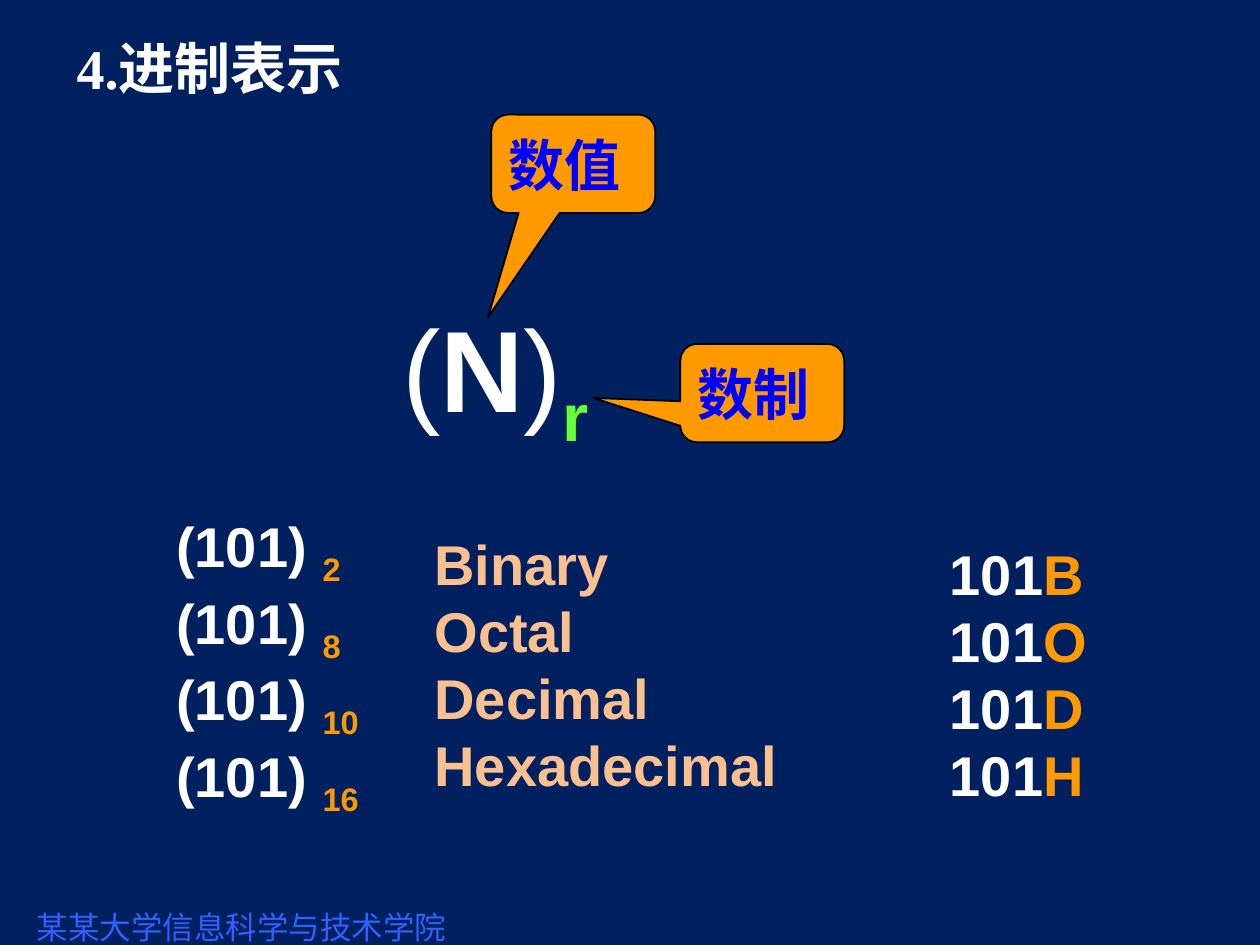
from pptx import Presentation
from pptx.dml.color import RGBColor
from pptx.enum.shapes import MSO_SHAPE
from pptx.enum.text import MSO_ANCHOR, PP_ALIGN
from pptx.oxml.ns import qn
from pptx.util import Pt
from lxml.etree import SubElement

PX = 9144
NAVY = RGBColor(0x00, 0x20, 0x60)
WHITE = RGBColor(0xFF, 0xFF, 0xFF)
BLACK = RGBColor(0x00, 0x00, 0x00)
ORANGE = RGBColor(0xFF, 0x99, 0x00)
PEACH = RGBColor(0xFA, 0xC0, 0x90)
GREEN = RGBColor(0x66, 0xFF, 0x33)
BLUE = RGBColor(0x00, 0x00, 0xFF)
FOOTER_BLUE = RGBColor(0x2F, 0x61, 0xFF)
CJK_FONT = "Noto Sans CJK SC"


def add_span(para, text, size, color, bold=True, name="Arial", lowered=False):
    span = para.add_run()
    span.text = text
    for key, value in {"size": Pt(size), "bold": bold, "name": name}.items():
        setattr(span.font, key, value)
    span.font.color.rgb = color
    properties = span.font._element
    SubElement(properties, qn("a:ea")).set("typeface", CJK_FONT)
    if lowered:
        properties.set("baseline", "-25000")


def fill_frame(box, lines, size, margins, anchor=MSO_ANCHOR.MIDDLE, spacing=None):
    frame = box.text_frame
    left, top, right, bottom = [margin * PX for margin in margins]
    layout = {"word_wrap": True, "vertical_anchor": anchor, "margin_left": left,
              "margin_top": top, "margin_right": right, "margin_bottom": bottom}
    for key, value in layout.items():
        setattr(frame, key, value)
    for index, spans in enumerate(lines):
        para = frame.add_paragraph() if index else frame.paragraphs[0]
        para.alignment = PP_ALIGN.LEFT
        if spacing:
            para.line_spacing = Pt(spacing)
        for text, color, options in spans:
            add_span(para, text, size, color, **options)


deck = Presentation()
deck.slide_width, deck.slide_height = 1000 * PX, 750 * PX
page = deck.slides.add_slide(deck.slide_layouts[6])
page.background.fill.solid()
page.background.fill.fore_color.rgb = NAVY

footer = page.shapes.add_textbox(29 * PX, 721 * PX, 365 * PX, 30 * PX)
fill_frame(footer, [[("某某大学信息科学与技术学院", FOOTER_BLUE, {"bold": False, "name": CJK_FONT})]],
           18, (0, 0, 0, 0))

title = page.shapes.add_textbox(51 * PX, 21 * PX, 900 * PX, 64 * PX)
fill_frame(title, [[("4.进制表示", WHITE, {"name": "Times New Roman"})]], 32, (10, 0, 10, 0))

notation = page.shapes.add_shape(MSO_SHAPE.OVAL, 272 * PX, 202 * PX, 255 * PX, 192 * PX)
notation.shadow.inherit = False
notation.fill.background()
notation.line.fill.background()
fill_frame(notation, [[("(", WHITE, {"bold": False}), ("N", WHITE, {}),
                       (")", WHITE, {"bold": False}), ("r", GREEN, {"lowered": True})]],
           66, (10, 5, 10, 5), MSO_ANCHOR.TOP, 90.6)

callouts = [
    ("数值", 390, 91, (-0.52, 1.56, 0.17)),
    ("数制", 540, 273, (-1.03, 0.05, 0.17)),
]
for label, left, top, adjustments in callouts:
    callout = page.shapes.add_shape(MSO_SHAPE.ROUNDED_RECTANGULAR_CALLOUT,
                                    left * PX, top * PX, 130 * PX, 78 * PX)
    callout.shadow.inherit = False
    callout.fill.solid()
    callout.fill.fore_color.rgb = ORANGE
    callout.line.color.rgb = BLACK
    callout.line.width = Pt(1)
    for index, value in enumerate(adjustments):
        callout.adjustments[index] = value
    fill_frame(callout, [[(label, BLUE, {})]], 32, (10, 5, 10, 5))

bases = [("2", "Binary", "B"), ("8", "Octal", "O"), ("10", "Decimal", "D"), ("16", "Hexadecimal", "H")]
columns = [
    (130, 401, 217, 258, 43.8,
     [[("(101) ", WHITE, {}), (radix, ORANGE, {"lowered": True})] for radix, _, _ in bases]),
    (335, 415, 367, 228, 38.3, [[(word, PEACH, {})] for _, word, _ in bases]),
    (744, 423, 167, 228, 38.3,
     [[("101", WHITE, {}), (suffix, ORANGE, {})] for _, _, suffix in bases]),
]
for left, top, width, height, spacing, lines in columns:
    column = page.shapes.add_textbox(left * PX, top * PX, width * PX, height * PX)
    fill_frame(column, lines, 32, (10, 5, 10, 10), spacing=spacing)

deck.save("out.pptx")
